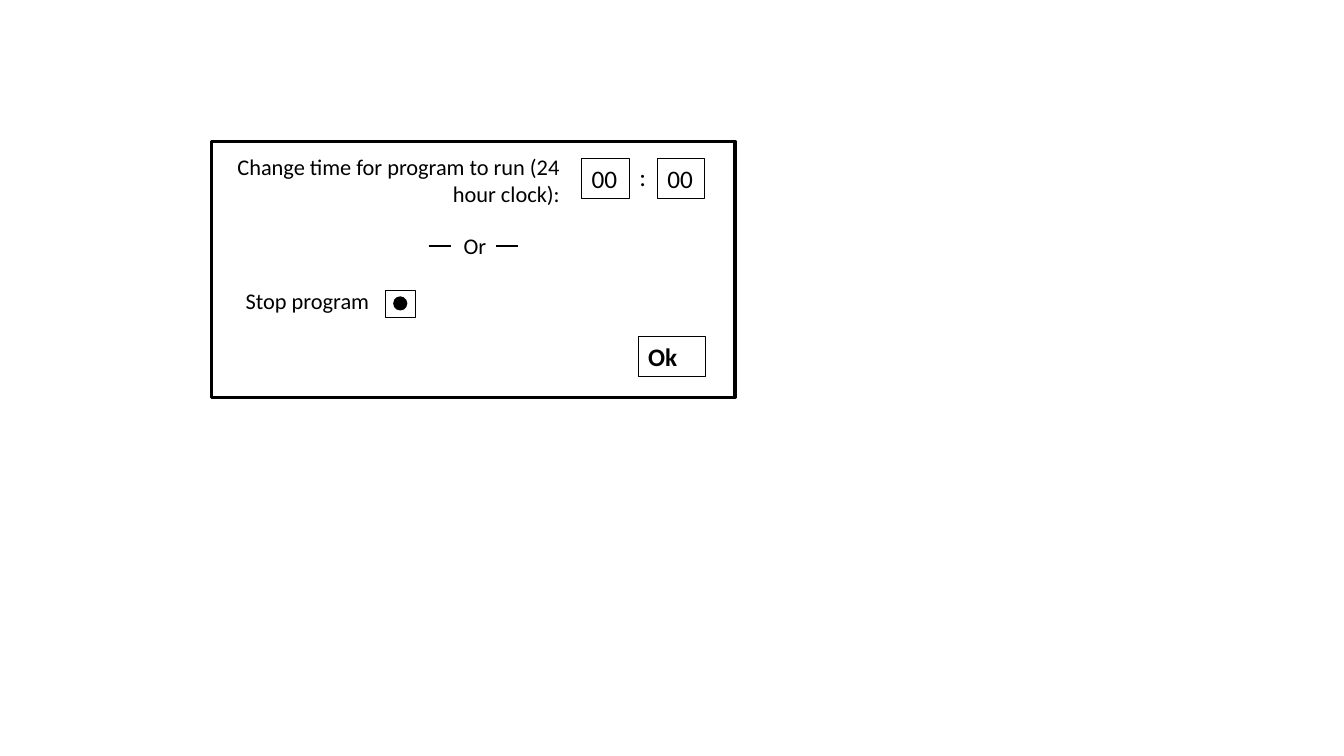
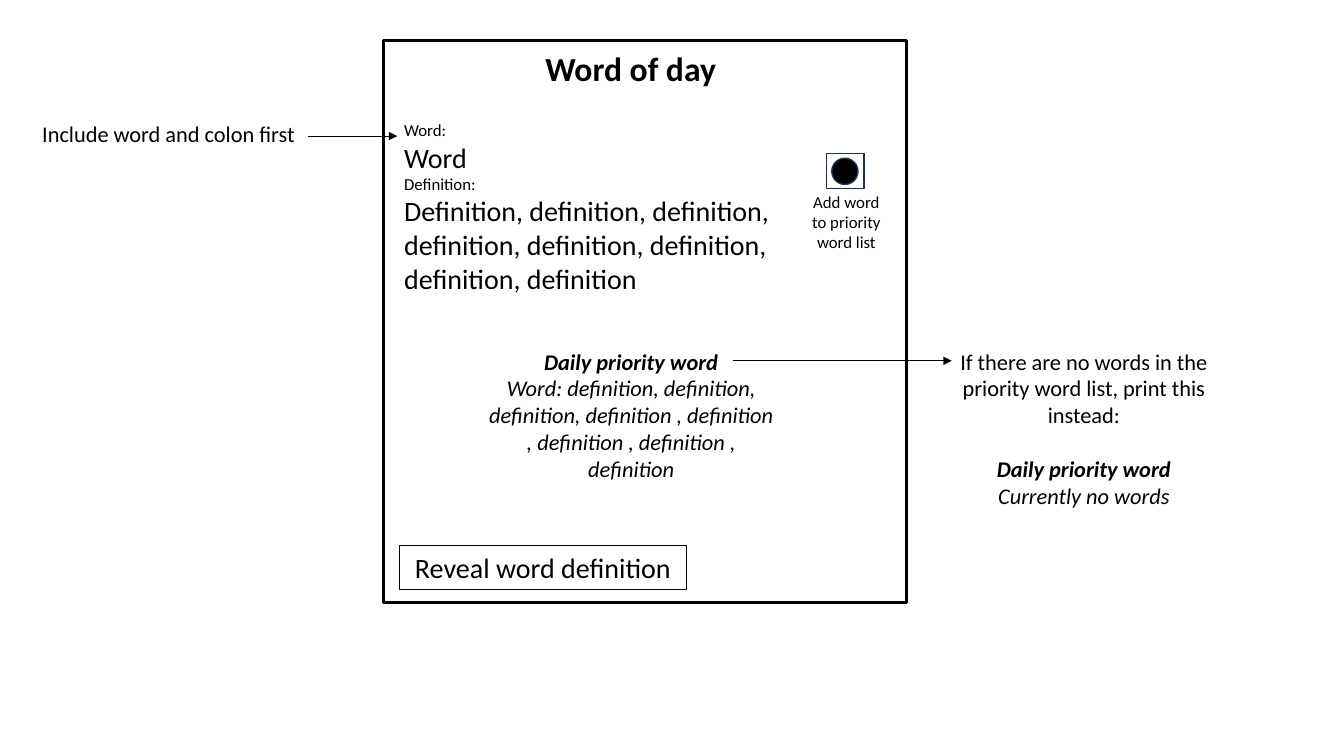
from pptx import Presentation, util as u
from pptx.dml import color
from pptx.enum import shapes, text
from pptx.oxml import ns
from lxml import etree

HUES = {"ink": "000000", "navy": "1E3256"}
FONT = "Calibri"
SIDES = {"left": text.PP_ALIGN.LEFT, "mid": text.PP_ALIGN.CENTER, "right": text.PP_ALIGN.RIGHT}
RECT, OVAL = shapes.MSO_SHAPE.RECTANGLE, shapes.MSO_SHAPE.OVAL


def hue(name):
    return color.RGBColor.from_string(HUES[name])


def write(frame, words, size=16, side="left", bold=False, slant=False, gap=0):
    first = frame.paragraphs[0]
    para = frame.add_paragraph() if first.runs else first
    para.alignment = SIDES[side]
    para.space_before = u.Pt(gap)
    run = para.add_run()
    run.text = words
    font = run.font
    font.name, font.size, font.bold, font.italic = FONT, u.Pt(size), bold, slant
    font.color.rgb = hue("ink")


class Sketch:
    def __init__(self):
        self.deck = Presentation()
        self.deck.slide_width, self.deck.slide_height = u.Inches(13.33), u.Inches(7.5)

    def page(self):
        self.slide = self.deck.slides.add_slide(self.deck.slide_layouts[6])

    def shape(self, kind, box, fill=None, line="ink", width=0.75):
        item = self.slide.shapes.add_shape(kind, *map(u.Inches, box))
        item.shadow.inherit = False
        if fill:
            item.fill.solid()
            item.fill.fore_color.rgb = hue(fill)
        else:
            item.fill.background()
        if line:
            item.line.color.rgb = hue(line)
            item.line.width = u.Pt(width)
        else:
            item.line.fill.background()
        return item

    def window(self, box):
        self.shape(RECT, box, width=2.25)

    def label(self, box, *lines, **style):
        frame = self.slide.shapes.add_textbox(*map(u.Inches, box)).text_frame
        frame.word_wrap = True
        for words, extra in lines:
            write(frame, words, **{**style, **extra})

    def field(self, box, words, **style):
        frame = self.shape(RECT, box).text_frame
        frame.word_wrap = True
        frame.vertical_anchor = text.MSO_ANCHOR.TOP
        write(frame, words, **style)

    def radio(self, box, dot, line, rim, width):
        self.shape(RECT, box, line=line, width=width)
        self.shape(OVAL, dot, "ink", rim, width)

    def line(self, left, right, top, width=1, arrow=False):
        ends = map(u.Inches, (left, top, right, top))
        item = self.slide.shapes.add_connector(shapes.MSO_CONNECTOR.STRAIGHT, *ends)
        item.line.color.rgb = hue("ink")
        item.line.width = u.Pt(width)
        if arrow:
            etree.SubElement(item.line._get_or_add_ln(), ns.qn("a:tailEnd"), type="triangle")
        etree.SubElement(item._element.spPr, ns.qn("a:effectLst"))


def timer(art):
    art.page()
    art.window((2.1, 1.4, 5.19, 2.54))
    art.label((1.86, 1.47, 3.79, 0.64),
              ("Change time for program to run (24 hour clock):", {}), side="right")
    for left in (5.77, 6.52):
        art.field((left, 1.57, 0.47, 0.4), "00", size=18)
    art.label((6.21, 1.55, 0.33, 0.4), (":", {}), size=18, side="mid")
    art.label((4.47, 2.25, 0.45, 0.37), ("Or", {}), side="right")
    for left in (4.25, 4.92):
        art.line(left, left + 0.22, 2.44)
    art.field((6.33, 3.34, 0.67, 0.4), "Ok", size=18, bold=True)
    art.radio((3.82, 2.88, 0.3, 0.27), (3.9, 2.94, 0.14, 0.14), "ink", None, 0.75)
    art.label((1.95, 2.8, 1.81, 0.37), ("Stop program", {}), side="right")


def daily(art):
    head = ("Daily priority word", {"bold": True, "slant": True})
    art.page()
    art.window((3.8, 0.4, 5.19, 5.58))
    art.label((5.24, 0.43, 2.03, 0.5), ("Word of day", {}), size=24, side="mid", bold=True)
    art.label((3.91, 1.14, 4.26, 1.88),
              ("Word:", {"size": 12}),
              ("Word", {}),
              ("Definition:", {"size": 12}),
              ("Definition, definition, definition, definition, definition, "
               "definition, definition, definition", {}), size=20)
    art.field((3.96, 5.41, 2.85, 0.44), "Reveal word definition", size=20, side="mid")
    art.label((0.32, 1.14, 3.11, 0.37), ("Include word and colon first", {}))
    art.line(3.05, 3.94, 1.35, 0.5, True)
    art.label((4.75, 3.4, 3.02, 1.45), head,
              ("Word: definition, definition, definition, definition , definition , "
               "definition , definition , definition", {"slant": True}), side="mid")
    art.label((9.24, 3.4, 3.02, 1.72),
              ("If there are no words in the priority word list, print this instead:", {}),
              (head[0], {**head[1], "gap": 19.5}),
              ("Currently no words", {"slant": True}), side="mid")
    art.line(7.27, 9.44, 3.58, 0.5, True)
    art.radio((8.2, 1.52, 0.37, 0.35), (8.25, 1.57, 0.26, 0.26), "navy", "navy", 1)
    art.label((7.88, 1.85, 1.03, 0.71),
              ("Add word to priority word list", {}), size=12, side="mid")


art = Sketch()
timer(art)
daily(art)
art.deck.save("out.pptx")
